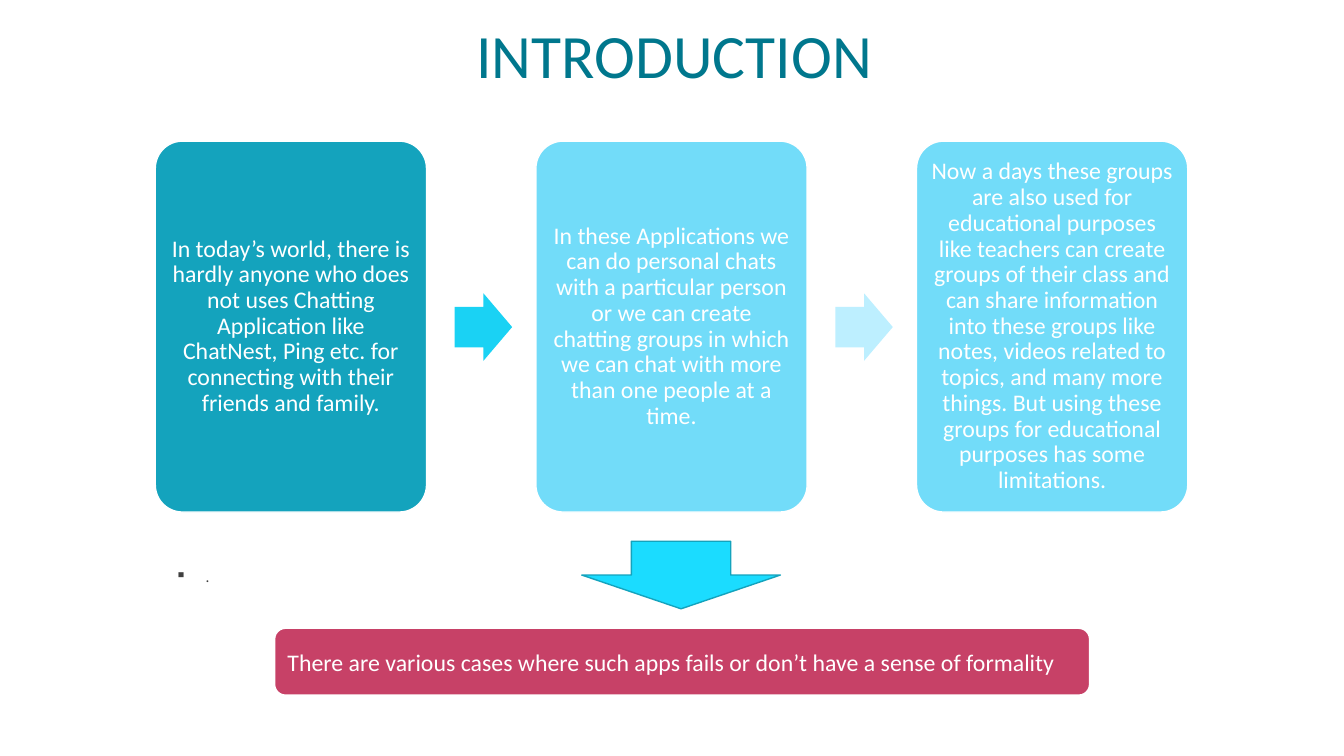
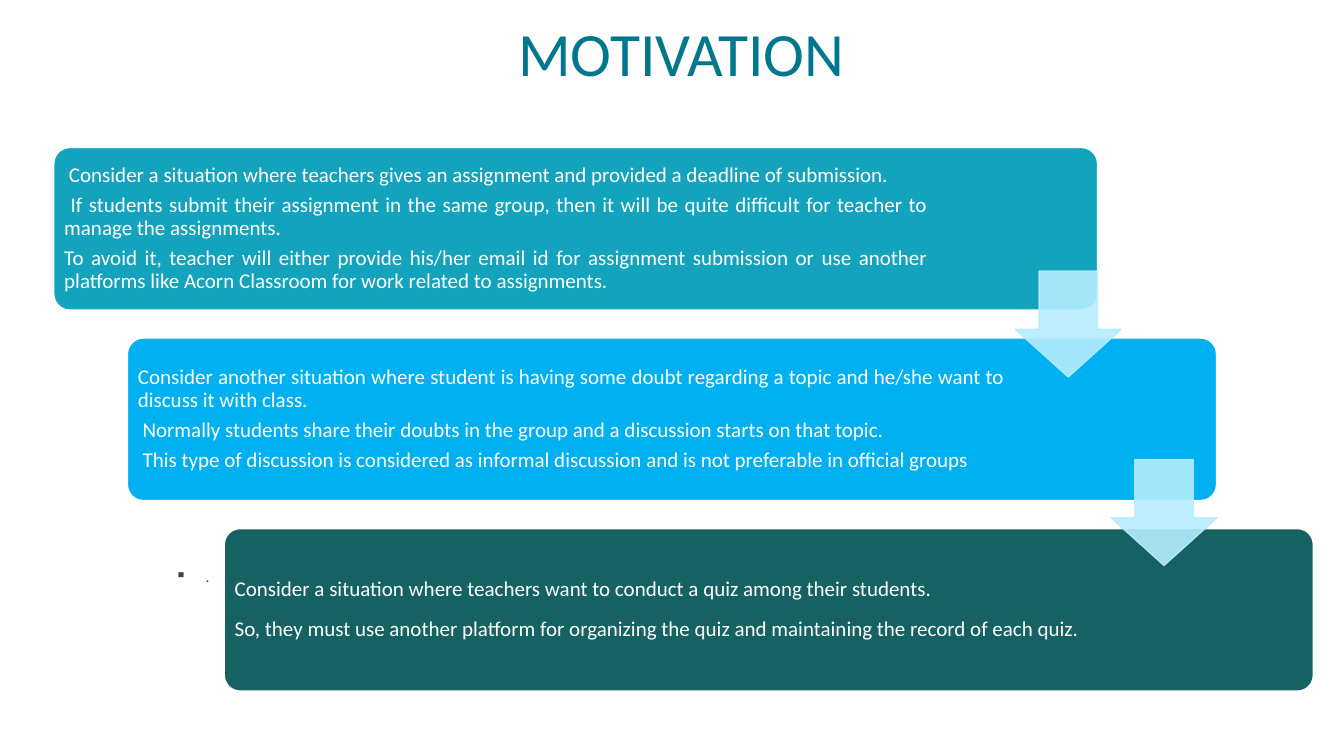
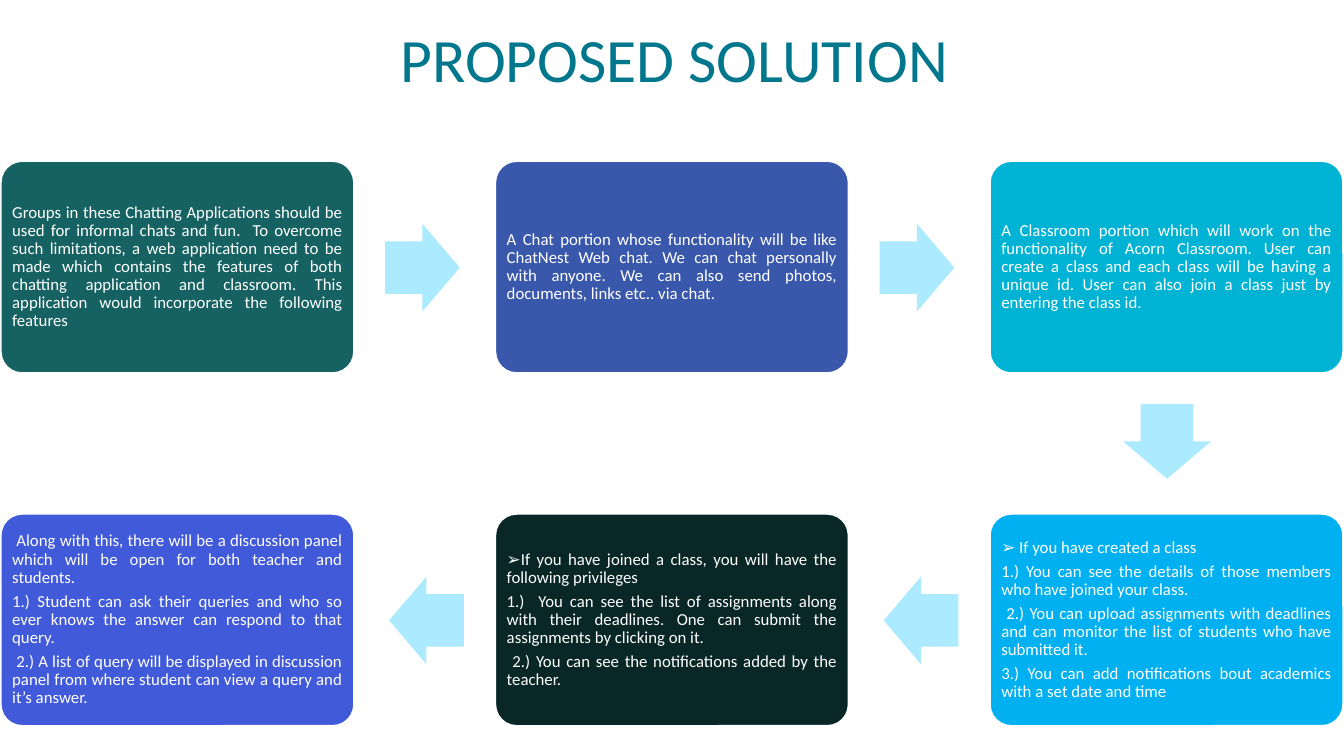
from lxml.etree import SubElement
from pptx import Presentation
from pptx.dml.color import RGBColor
from pptx.enum.shapes import MSO_SHAPE as Shape
from pptx.enum.text import MSO_ANCHOR as Anchor, PP_ALIGN as Align
from pptx.oxml.ns import qn
from pptx.util import Inches, Pt

WHITE = RGBColor(0xFF, 0xFF, 0xFF)
TITLE_TEAL = RGBColor(0x00, 0x77, 0x8D)
GREY = RGBColor(0x40, 0x40, 0x40)
TEAL = RGBColor(0x14, 0xA3, 0xBD)
SKY = RGBColor(0x72, 0xDC, 0xF9)
ROSE = RGBColor(0xC7, 0x41, 0x67)
AZURE = RGBColor(0x00, 0xB0, 0xF0)
PINE = RGBColor(0x16, 0x62, 0x62)
NAVY = RGBColor(0x39, 0x58, 0xAC)
CYAN = RGBColor(0x00, 0xB3, 0xD4)
NIGHT = RGBColor(0x09, 0x27, 0x27)
INDIGO = RGBColor(0x41, 0x5A, 0xD9)
ARROW_BRIGHT = RGBColor(0x1A, 0xD2, 0xF4)
ARROW_SOFT = RGBColor(0xBD, 0xEF, 0xFF)
ARROW_DOWN = RGBColor(0x1B, 0xDC, 0xFF)
ARROW_STEP = RGBColor(0xB5, 0xED, 0xFF)
ARROW_FLOW = RGBColor(0xAC, 0xEB, 0xFF)

FONT = "Calibri"
BLOCK_ARROW = (0.6, 0.5)
STEP_ARROW = (0.55, 0.45)

INTRO_CARDS = [
    (TEAL, "In today’s world, there is hardly anyone who does not uses Chatting Application like "
           "ChatNest, Ping etc. for connecting with their friends and family."),
    (SKY, "In these Applications we can do personal chats with a particular person or we can create "
          "chatting groups in which we can chat with more than one people at a time."),
    (SKY, "Now a days these groups are also used for educational purposes like teachers can create "
          "groups of their class and can share information into these groups like notes, videos related "
          "to topics, and many more things. But using these groups for educational purposes has some "
          "limitations."),
]

MOTIVATION_STEPS = [
    (0.53, 10.36, 1.64, TEAL, 5.25, [
        " Consider a situation where teachers gives an assignment and provided a deadline of submission.",
        " If students submit their assignment in the same group, then it will be quite difficult for "
        "teacher to manage the assignments.",
        "To avoid it, teacher will either provide his/her email id for assignment submission or use "
        "another platforms like Acorn Classroom for work related to assignments.",
    ]),
    (1.26, 10.81, 2.06, AZURE, 5.25, [
        "Consider another situation where student is having some doubt regarding a topic and he/she "
        "want to discuss it with class.",
        " Normally students share their doubts in the group and a discussion starts on that topic.",
        " This type of discussion is considered as informal discussion and is not preferable in "
        "official groups",
    ]),
    (2.22, 10.81, 2.06, PINE, 12, [
        "Consider a situation where teachers want to conduct a quiz among their students.",
        "So, they must use another platform for organizing the quiz and maintaining the record of "
        "each quiz.",
    ]),
]

SOLUTION_CARDS = [
    (PINE, [
        "Groups in these Chatting Applications should be used for informal chats and fun.  To overcome "
        "such limitations, a web application need to be made which contains the features of both "
        "chatting application and classroom. This application would incorporate the following features",
    ]),
    (NAVY, [
        "A Chat portion whose functionality will be like ChatNest Web chat. We can chat personally "
        "with anyone. We can also send photos, documents, links etc.. via chat.",
    ]),
    (CYAN, [
        "A Classroom portion which will work on the functionality of Acorn Classroom. User can create "
        "a class and each class will be having a unique id. User can also join a class just by "
        "entering the class id.",
    ]),
    (AZURE, [
        "➢ If you have created a class",
        "1.) You can see the details of those members who have joined your class.",
        " 2.) You can upload assignments with deadlines and can monitor the list of students who have "
        "submitted it.",
        "3.) You can add notifications bout academics with a set date and time",
    ]),
    (NIGHT, [
        "➢If you have joined a class, you will have the following privileges",
        "1.)  You can see the list of assignments along with their deadlines. One can submit the "
        "assignments by clicking on it.",
        " 2.) You can see the notifications added by the teacher.",
    ]),
    (INDIGO, [
        " Along with this, there will be a discussion panel which will be open for both teacher and "
        "students.",
        "1.) Student can ask their queries and who so ever knows the answer can respond to that query.",
        " 2.) A list of query will be displayed in discussion panel from where student can view a "
        "query and it’s answer.",
    ]),
]


def set_values(target, values):
    for name, value in values.items():
        setattr(target, name, value)


def write(box, texts, size, color, align, spacing, after=0, anchor=Anchor.MIDDLE, insets=None):
    frame = box.text_frame
    set_values(frame, {"word_wrap": True, "vertical_anchor": anchor})
    if insets:
        sides = ("margin_left", "margin_top", "margin_right", "margin_bottom")
        set_values(frame, {side: Inches(inset) for side, inset in zip(sides, insets)})
    for index, text in enumerate(texts):
        para = frame.add_paragraph() if index else frame.paragraphs[0]
        set_values(para, {"alignment": align, "line_spacing": spacing, "space_after": Pt(after)})
        span = para.add_run()
        span.text = text
        set_values(span.font, {"name": FONT, "size": Pt(size)})
        span.font.color.rgb = color


def add_title(page, text, center, top):
    box = page.shapes.add_textbox(Inches(center - 4.4), Inches(top), Inches(8.8), Inches(0.84))
    write(box, [text], 44, TITLE_TEAL, Align.CENTER, 0.85, anchor=Anchor.BOTTOM)


def add_dot_bullet(page):
    box = page.shapes.add_textbox(Inches(1.64), Inches(5.6), Inches(10.25), Inches(0.4))
    properties = box.text_frame.paragraphs[0]._p.get_or_add_pPr()
    properties.set("marL", str(Inches(0.3)))
    properties.set("indent", str(-Inches(0.3)))
    SubElement(properties, qn("a:buChar")).set("char", "▪")
    write(box, ["."], 11, GREY, Align.LEFT, 0.9, anchor=Anchor.TOP)


def add_block(page, kind, place, fill, line=None, line_width=1, adjustments=()):
    block = page.shapes.add_shape(kind, *(Inches(length) for length in place))
    block.shadow.inherit = False
    block.fill.solid()
    block.fill.fore_color.rgb = fill
    if line is None:
        block.line.fill.background()
    else:
        block.line.color.rgb = line
        block.line.width = Pt(line_width)
    for index, value in enumerate(adjustments):
        block.adjustments[index] = value
    return block


def add_card(page, place, fill, line_width=1):
    return add_block(page, Shape.ROUNDED_RECTANGLE, place, fill, WHITE, line_width, (0.1,))


def make_translucent(block, percent):
    for color in block._element.spPr.iter(qn("a:srgbClr")):
        SubElement(color, qn("a:alpha")).set("val", str(percent * 1000))


def build_introduction(page):
    add_title(page, "INTRODUCTION", 6.69, 0.11)
    add_dot_bullet(page)
    pitch = 3.775
    for column, (fill, text) in enumerate(INTRO_CARDS):
        card = add_card(page, (1.54 + column * pitch, 1.4, 2.69, 3.68), fill)
        write(card, [text], 17, WHITE, Align.CENTER, 0.9, insets=(0.07,) * 4)
    for column, fill in enumerate((ARROW_BRIGHT, ARROW_SOFT)):
        add_block(page, Shape.RIGHT_ARROW, (4.51 + column * pitch, 2.91, 0.57, 0.67), fill,
                  adjustments=BLOCK_ARROW)
    banner = add_block(page, Shape.ROUNDED_RECTANGLE, (2.72, 6.23, 8.09, 0.67), ROSE, WHITE, 1.5)
    write(banner, ["There are various cases where such apps fails or don’t have a sense of formality"],
          17, WHITE, Align.LEFT, 1.0)
    add_block(page, Shape.DOWN_ARROW, (5.77, 5.37, 1.97, 0.67), ARROW_DOWN, TEAL)


def build_motivation(page):
    add_title(page, "MOTIVATION", 6.76, 0.09)
    add_dot_bullet(page)
    pitch = 1.89
    for row, (left, width, right_inset, fill, after, texts) in enumerate(MOTIVATION_STEPS):
        card = add_card(page, (left, 1.46 + row * pitch, width, 1.62), fill, 1.5)
        write(card, texts, 15, WHITE, Align.JUSTIFY, 0.9, after, insets=(0.06, 0.06, right_inset, 0.06))
    for row in range(2):
        arrow = add_block(page, Shape.DOWN_ARROW, (10.07 + row * 0.95, 2.69 + row * 1.87, 1.05, 1.05),
                          ARROW_STEP, ARROW_STEP, adjustments=STEP_ARROW)
        make_translucent(arrow, 90)


def build_solution(page):
    add_title(page, "PROPOSED SOLUTION", 6.69, 0.15)
    pitch = 4.905
    for index, (fill, texts) in enumerate(SOLUTION_CARDS):
        row, column = (0, index) if index < 3 else (1, 5 - index)
        card = add_card(page, (0.01 + column * pitch, 1.6 + row * 3.5, 3.5, 2.1), fill)
        write(card, texts, 12, WHITE, Align.JUSTIFY, 0.9, 4.2, insets=(0.05,) * 4)
    arrows = [(Shape.DOWN_ARROW, (11.14, 4.01, 0.87, 0.74))]
    for column in range(2):
        arrows.append((Shape.RIGHT_ARROW, (3.82 + column * pitch, 2.22, 0.74, 0.87)))
        arrows.append((Shape.LEFT_ARROW, (3.86 + column * pitch, 5.72, 0.74, 0.87)))
    for kind, place in arrows:
        add_block(page, kind, place, ARROW_FLOW, adjustments=BLOCK_ARROW)


def main():
    deck = Presentation()
    set_values(deck, {"slide_width": Inches(13.33), "slide_height": Inches(7.5)})
    for build in (build_introduction, build_motivation, build_solution):
        build(deck.slides.add_slide(deck.slide_layouts[6]))
    deck.save("out.pptx")


if __name__ == "__main__":
    main()
